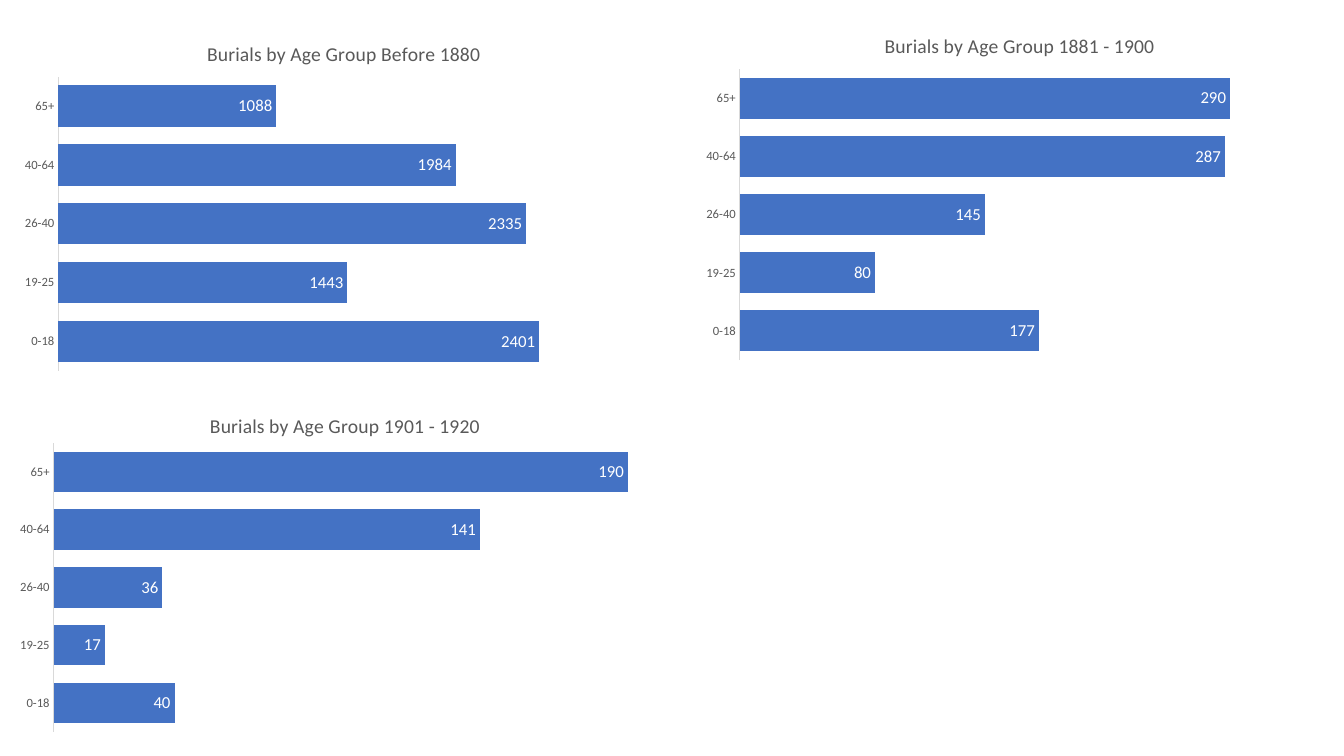
from lxml import etree
from pptx import Presentation
from pptx.chart.data import CategoryChartData
from pptx.dml.color import RGBColor
from pptx.enum.chart import XL_CHART_TYPE, XL_LABEL_POSITION, XL_TICK_MARK
from pptx.oxml import parse_xml
from pptx.oxml.ns import nsdecls, qn
from pptx.util import Inches, Pt

BAR_CLUSTERED = XL_CHART_TYPE.BAR_CLUSTERED
INSIDE_END = XL_LABEL_POSITION.INSIDE_END
NO_TICK = XL_TICK_MARK.NONE

BLACK = RGBColor(0x00, 0x00, 0x00)
WHITE = RGBColor(0xFF, 0xFF, 0xFF)
BLUE = RGBColor(0x44, 0x72, 0xC4)
GREY = RGBColor(0x59, 0x59, 0x59)
AXIS_GREY = RGBColor(0xD9, 0xD9, 0xD9)

FONT = "Calibri"
AGE_GROUPS = ["0-18", "19-25", "26-40", "40-64", "65+"]

BURIAL_CHARTS = [
    {
        "title": "Burials by Age Group 1901 - 1920",
        "frame": (0.07, 3.88, 6.59, 3.45),
        "burials": (40, 17, 36, 141, 190),
        "maximum": 200,
        "title_at": (0.3, 0.05),
        "plot_at": (0.07, 0.15, 0.91, 0.83),
    },
    {
        "title": "Burials by Age Group Before 1880",
        "frame": (0.12, 0.19, 6.55, 3.56),
        "burials": (2401, 1443, 2335, 1984, 1088),
        "maximum": 3000,
        "title_at": (0.29, 0.05),
        "plot_at": (0.07, 0.16, 0.91, 0.82),
    },
    {
        "title": "Burials by Age Group 1881 - 1900",
        "frame": (6.67, 0, 6.67, 3.61),
        "burials": (177, 80, 145, 287, 290),
        "maximum": 350,
        "title_at": (0.31, 0.08),
        "plot_at": (0.1, 0.19, 0.88, 0.8),
    },
]


def style_font(font, size, color):
    font.name = FONT
    font.size = Pt(size)
    font.color.rgb = color
    font.bold = False


def set_layout(parent, index, fractions, inner=False):
    for old_layout in parent.findall(qn("c:layout")):
        parent.remove(old_layout)
    layout = etree.Element(qn("c:layout"))
    manual = etree.SubElement(layout, qn("c:manualLayout"))
    settings = [("layoutTarget", "inner")] if inner else []
    settings += [("xMode", "edge"), ("yMode", "edge")]
    settings += zip("xywh", fractions)
    for name, value in settings:
        etree.SubElement(manual, qn(f"c:{name}")).set("val", str(value))
    parent.insert(index, layout)


def fill_background(chart, color):
    properties = parse_xml(
        f'<c:spPr {nsdecls("c", "a")}><a:solidFill><a:srgbClr val="{color}"/>'
        "</a:solidFill><a:ln><a:noFill/></a:ln></c:spPr>"
    )
    chart.element.find(qn("c:chart")).addnext(properties)


def add_title(chart, text, position):
    chart.has_title = True
    title = chart.chart_title
    title.include_in_layout = False
    para = title.text_frame.paragraphs[0]
    para.text = text
    style_font(para.font, 14, GREY)
    set_layout(chart.element.find(".//" + qn("c:title")), 1, position)


def style_axes(chart, maximum):
    ages = chart.category_axis
    ages.major_tick_mark = NO_TICK
    ages.minor_tick_mark = NO_TICK
    ages.format.line.color.rgb = AXIS_GREY
    ages.format.line.width = Pt(0.75)
    style_font(ages.tick_labels.font, 9, GREY)
    counts = chart.value_axis
    counts.minimum_scale = 0
    counts.maximum_scale = maximum
    counts.has_major_gridlines = False
    counts.visible = False


def style_bars(chart):
    plot = chart.plots[0]
    plot.gap_width = 42
    plot.vary_by_categories = False
    series = plot.series[0]
    series.format.fill.solid()
    series.format.fill.fore_color.rgb = BLUE
    labels = series.data_labels
    labels.show_value = True
    labels.position = INSIDE_END
    style_font(labels.font, 12, WHITE)


def add_burial_chart(page, title, frame, burials, maximum, title_at, plot_at):
    data = CategoryChartData()
    data.categories = AGE_GROUPS
    data.add_series("Series 1", burials)
    bounds = [Inches(length) for length in frame]
    chart = page.shapes.add_chart(BAR_CLUSTERED, *bounds, data).chart
    chart.has_legend = False
    style_font(chart.font, 10, BLACK)
    fill_background(chart, WHITE)
    add_title(chart, title, title_at)
    style_axes(chart, maximum)
    style_bars(chart)
    set_layout(chart.element.find(".//" + qn("c:plotArea")), 0, plot_at, inner=True)


def main():
    deck = Presentation()
    deck.slide_width = Inches(13.33)
    deck.slide_height = Inches(7.5)
    page = deck.slides.add_slide(deck.slide_layouts[6])
    for burial_chart in BURIAL_CHARTS:
        add_burial_chart(page, **burial_chart)
    deck.save("out.pptx")


if __name__ == "__main__":
    main()
